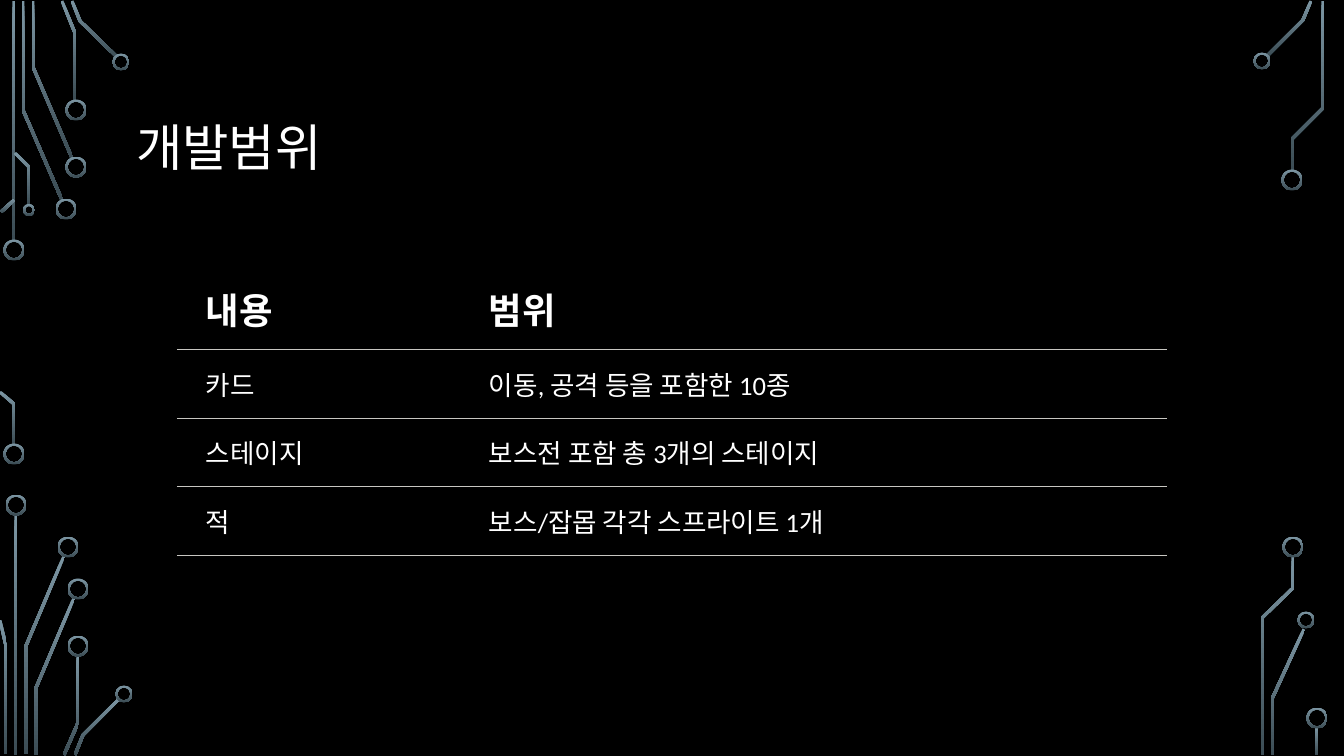
import math
from lxml import etree
from pptx import Presentation
from pptx.dml.color import RGBColor
from pptx.enum.shapes import MSO_SHAPE
from pptx.enum.text import MSO_ANCHOR, MSO_AUTO_SIZE, PP_ALIGN
from pptx.oxml.ns import qn
from pptx.util import Pt

PX = 914400 / 100.8
FONT = "Calibri"
WHITE, BLACK, RULE = "FFFFFF", "000000", "C7C6C1"
TRACE_TOP, TRACE_END = "7C96A3", "3B4C54"
NO_STYLE = "{2D5ABB26-0587-4C30-8999-92F81FD0307C}"

# Each circuit: box origin, traces as centre lines, rings as (x, y, diameter).
CIRCUITS = [
    ((0, 0),
     [[(14, 1), (14, 241)],
      [(62, 200), (23, 110), (23, 1)],
      [(72, 158), (33, 67), (33, 1)],
      [(62, 1), (75, 33), (75, 101)],
      [(72, 1), (80, 21), (117, 57)],
      [(1, 212), (14, 200)],
      [(15, 153), (29, 167), (29, 205)]],
     [(14, 250, 21), (66, 209, 21), (76, 167, 21), (76, 110, 21),
      (121, 62, 17), (29, 210, 12)]),
    ((0, 390),
     [[(0, 2), (14, 14), (14, 55)]],
     [(14, 64, 21)]),
    ((0, 490),
     [[(16, 24), (16, 265)],
      [(26, 264), (26, 156), (64, 66)],
      [(0, 130), (6, 156), (6, 264)],
      [(36, 265), (36, 198), (74, 108)],
      [(64, 265), (78, 233), (78, 165)],
      [(75, 265), (83, 245), (119, 209)]],
     [(16, 15, 21), (68, 57, 21), (78, 99, 21), (78, 156, 21),
      (124, 204, 17)]),
    ((1250, 0),
     [[(17, 56), (53, 20), (61, 1)],
      [(42, 170), (42, 139), (73, 108), (73, 1)]],
     [(12, 61, 17), (42, 180, 21)]),
    ((1250, 530),
     [[(22, 225), (22, 169), (54, 99)],
      [(12, 225), (12, 88), (43, 58), (43, 26)],
      [(67, 197), (67, 225)]],
     [(56, 90, 17), (43, 17, 21), (67, 188, 21)]),
]

SCOPE = [
    ("내용", "범위"),
    ("카드", "이동, 공격 등을 포함한 10종"),
    ("스테이지", "보스전 포함 총 3개의 스테이지"),
    ("적", "보스/잡몹 각각 스프라이트 1개"),
]


def emu(pixels):
    """Turn pixels into EMU."""
    return round(pixels * PX)


def color(hex_text):
    """Turn a hex string into a colour."""
    return RGBColor.from_string(hex_text)


def style_text(paragraph, size, bold=False):
    """Format the paragraph's text."""
    font = paragraph.font
    font.name, font.size, font.bold = FONT, Pt(size), bold
    font.color.rgb = color(WHITE)


def shade(shape):
    """Give a circuit part its downward gradient, without line or shadow."""
    shape.shadow.inherit = False
    shape.line.fill.background()
    shape.fill.gradient()
    shape.fill.gradient_angle = 270
    for stop, (place, tone) in zip(shape.fill.gradient_stops,
                                   [(0, TRACE_TOP), (1, TRACE_END)]):
        stop.position = place
        stop.color.rgb = color(tone)


def ribbon(points, width):
    """Return the mitred outline of a centre line."""
    normals = []
    for (x1, y1), (x2, y2) in zip(points, points[1:]):
        length = math.hypot(x2 - x1, y2 - y1)
        normals.append(((y1 - y2) / length, (x2 - x1) / length))
    left, right = [], []
    for (x, y), (ax, ay), (bx, by) in zip(points, normals[:1] + normals,
                                          normals + normals[-1:]):
        reach = width / 2 / (1 + ax * bx + ay * by)
        dx, dy = (ax + bx) * reach, (ay + by) * reach
        left.append((x + dx, y + dy))
        right.append((x - dx, y - dy))
    return left + right[::-1]


def add_circuit(slide, origin, traces, rings):
    """Draw one circuit ornament from its box origin."""
    ox, oy = origin
    for trace in traces:
        outline = [(emu(ox + x), emu(oy + y)) for x, y in ribbon(trace, 3)]
        builder = slide.shapes.build_freeform(*outline[0])
        builder.add_line_segments(outline[1:], close=True)
        shade(builder.convert_to_shape())
    for x, y, size in rings:
        ring = slide.shapes.add_shape(
            MSO_SHAPE.DONUT, emu(ox + x - size / 2), emu(oy + y - size / 2),
            emu(size), emu(size))
        ring.adjustments[0] = 2 / size
        shade(ring)


def add_title(slide, text, box):
    """Place the title in its box."""
    title = slide.shapes.title
    title.left, title.top, title.width, title.height = map(emu, box)
    frame = title.text_frame
    frame.text = text
    frame.auto_size = MSO_AUTO_SIZE.NONE
    frame.vertical_anchor = MSO_ANCHOR.MIDDLE
    paragraph = frame.paragraphs[0]
    paragraph.alignment = PP_ALIGN.LEFT
    paragraph.line_spacing = 0.9
    style_text(paragraph, 36)


def add_bottom_rule(cell):
    """Draw a thin rule below a cell."""
    line = etree.Element(qn("a:lnB"), w=str(Pt(0.75)))
    fill = etree.SubElement(line, qn("a:solidFill"))
    etree.SubElement(fill, qn("a:srgbClr"), val=RULE)
    cell._tc.get_or_add_tcPr().insert(0, line)


def add_scope_table(slide, rows, box, columns, heights):
    """Place the scope table, with a bold heading row, in its box."""
    table = slide.shapes.add_table(len(rows), len(columns),
                                   *map(emu, box)).table
    table._tbl.tblPr.find(qn("a:tableStyleId")).text = NO_STYLE
    table.horz_banding = False
    for column, width in zip(table.columns, columns):
        column.width = emu(width)
    for r, (row, height) in enumerate(zip(rows, heights)):
        table.rows[r].height = emu(height)
        for c, text in enumerate(row):
            cell = table.cell(r, c)
            cell.text = text
            cell.fill.background()
            cell.margin_left, cell.margin_right = emu(29), emu(22)
            cell.margin_top = cell.margin_bottom = emu(15)
            style_text(cell.text_frame.paragraphs[0],
                       19 if r else 26, bold=r == 0)
            add_bottom_rule(cell)


def build_scope_slide(deck):
    """Build the development scope slide."""
    slide = deck.slides.add_slide(deck.slide_layouts[5])
    slide.background.fill.solid()
    slide.background.fill.fore_color.rgb = color(BLACK)
    for circuit in CIRCUITS:
        add_circuit(slide, *circuit)
    add_title(slide, "개발범위", (126, 69, 1092, 163))
    add_scope_table(slide, SCOPE, (177, 267, 990, 280),
                    (283, 707), (79, 67, 67, 67))


deck = Presentation()
deck.slide_width, deck.slide_height = emu(1344), emu(756)
build_scope_slide(deck)
deck.save("out.pptx")
